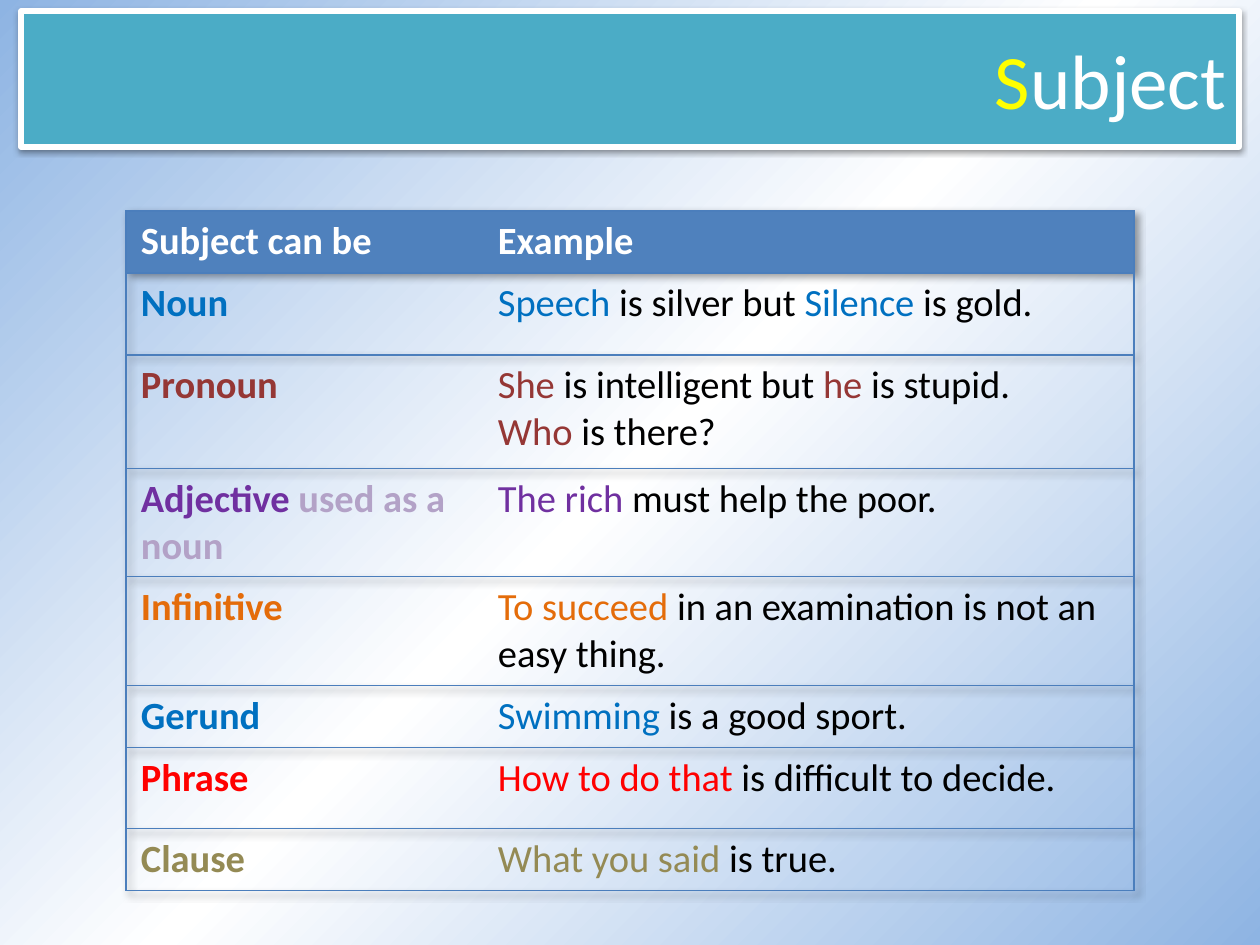
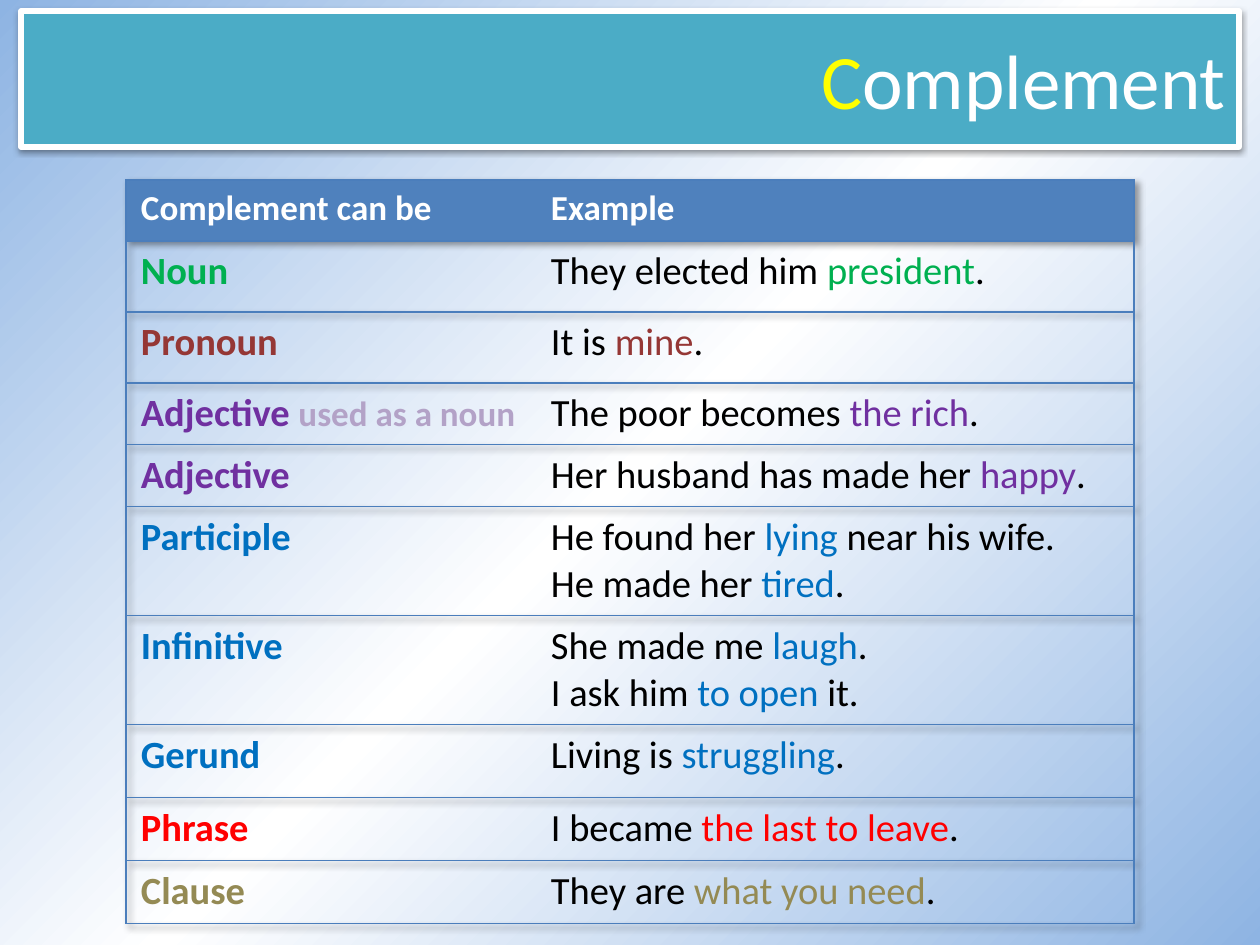
from copy import deepcopy
from dataclasses import dataclass
from pptx import Presentation
from pptx.dml.color import RGBColor
from pptx.enum.text import MSO_ANCHOR, PP_ALIGN
from pptx.oxml import parse_xml
from pptx.oxml.ns import nsdecls, qn
from pptx.util import Emu, Pt


@dataclass(frozen=True)
class Theme:
    """Colours, font and type sizes of the deck."""
    font: str = "Calibri"
    sky: str = "8EB4E3"
    white: str = "FFFFFF"
    black: str = "000000"
    yellow: str = "FFFF00"
    head: str = "4F81BD"
    rule: str = "4B7EBC"
    blue: str = "0070C0"
    green: str = "00B050"
    brown: str = "953735"
    purple: str = "7030A0"
    mauve: str = "B3A2C7"
    orange: str = "E46C0A"
    red: str = "FF0000"
    olive: str = "948A54"
    title: int = 44
    body: int = 22
    small: int = 20


T = Theme()
PLAIN = "{2D5ABB26-0587-4C30-8999-92F81FD0307C}"

SUBJECT = [
    (82, T.blue, "Noun", "|Speech |is silver but |Silence |is gold."),
    (114, T.brown, "Pronoun", "|She |is intelligent but |he |is stupid.\n|Who |is there?"),
    (108, T.purple, "Adjective |used as a noun", "|The rich |must help the poor."),
    (109, T.orange, "Infinitive", "|To succeed |in an examination is not an easy thing."),
    (62, T.blue, "Gerund", "|Swimming| is a good sport."),
    (81, T.red, "Phrase", "|How to do that |is difficult to decide."),
    (62, T.olive, "Clause", "|What you said |is true."),
]

COMPLEMENT = [
    (71, T.green, "Noun", "They elected him |president|."),
    (71, T.brown, "Pronoun", "It is |mine|."),
    (62, T.purple, "Adjective |used as a noun", "The poor becomes |the rich|."),
    (62, T.purple, "Adjective", "Her husband has made her |happy|."),
    (109, T.blue, "Participle", "He found her |lying| near his wife.\nHe made her |tired|."),
    (109, T.blue, "Infinitive", "She made me |laugh|.\nI ask him |to open |it."),
    (73, T.blue, "Gerund", "Living is |struggling|."),
    (63, T.red, "Phrase", "I became |the last to leave|."),
    (63, T.olive, "Clause", "They are |what you need|."),
]


def px(count):
    """Turn pixels into EMU."""
    return Emu(round(count * 914400 / 126))


def write(frame, text, tones, sizes, bold=False):
    """Write lines of runs; bars switch between plain and marked style."""
    for row, line in enumerate(text.split("\n")):
        para = frame.add_paragraph() if row else frame.paragraphs[0]
        for step, part in enumerate(line.split("|")):
            if part:
                run = para.add_run()
                run.text = part
                run.font.name = T.font
                run.font.bold = bold
                run.font.size = Pt(sizes[step % 2])
                run.font.color.rgb = RGBColor.from_string(tones[step % 2])


def paint(master):
    """Give every slide the diagonal sky gradient."""
    fill = master.background.fill
    fill.gradient()
    fill.gradient_angle = 315
    stops = master.element.find(".//" + qn("a:gsLst"))
    stops.insert(1, deepcopy(stops[0]))
    for spot, stop in enumerate(fill.gradient_stops):
        stop.position = spot / 2
        stop.color.rgb = RGBColor.from_string((T.sky, T.white, T.sky)[spot])


def add_style(shape):
    """Tie a shape to the theme's accent fill, white line and shadow."""
    refs = (("ln", 3, "lt1"), ("fill", 1, "accent5"),
            ("effect", 1, "accent5"), ("font", "minor", "lt1"))
    inner = "".join(f'<a:{kind}Ref idx="{rank}"><a:schemeClr val="{tone}"/></a:{kind}Ref>'
                    for kind, rank, tone in refs)
    shape.element.spPr.addnext(parse_xml(
        f'<p:style {nsdecls("p", "a")}>{inner}</p:style>'))


def add_title(slide, text):
    """Place the title at the top right with a yellow initial."""
    title = slide.shapes.title
    title.left, title.top, title.width, title.height = map(px, (21, 11, 1218, 136))
    add_style(title)
    title.text_frame.vertical_anchor = MSO_ANCHOR.MIDDLE
    write(title.text_frame, text, (T.white, T.yellow), (T.title, T.title))
    title.text_frame.paragraphs[0].alignment = PP_ALIGN.RIGHT


def rule_cell(cell, sides):
    """Draw thin rules on the given sides of a cell."""
    props = cell._tc.get_or_add_tcPr()
    for spot, side in enumerate(sides):
        props.insert(spot, parse_xml(
            f'<a:ln{side} {nsdecls("a")} w="9525"><a:solidFill>'
            f'<a:srgbClr val="{T.rule}"/></a:solidFill></a:ln{side}>'))


def add_shade(table):
    """Give the table a soft shadow and a plain style."""
    props = table._tbl.tblPr
    props.find(qn("a:tableStyleId")).text = PLAIN
    props.insert(0, parse_xml(
        f'<a:effectLst {nsdecls("a")}><a:outerShdw blurRad="50800" dist="38100" '
        f'dir="2700000" algn="tl" rotWithShape="0"><a:srgbClr val="{T.black}">'
        '<a:alpha val="40000"/></a:srgbClr></a:outerShdw></a:effectLst>'))


def fill_cell(cell, text, tones, sizes, bold, fill, sides):
    """Format one cell and write its text."""
    cell.margin_left = cell.margin_right = px(15)
    cell.margin_top = cell.margin_bottom = px(7)
    if fill:
        cell.fill.solid()
        cell.fill.fore_color.rgb = RGBColor.from_string(fill)
    else:
        cell.fill.background()
    rule_cell(cell, sides)
    write(cell.text_frame, text, tones, sizes, bold)


def add_grid(slide, top, split, head, rows, minor):
    """Add the table of word kinds and their examples."""
    tall, name = head
    high = tall + sum(row[0] for row in rows)
    table = slide.shapes.add_table(
        len(rows) + 1, 2, px(126), px(top), px(1008), px(high)).table
    table.horz_banding = False
    add_shade(table)
    for col, wide in zip(table.columns, (split, 1008 - split)):
        col.width = px(wide)
    edges = ("L", "T", "B"), ("R", "T", "B")
    table.rows[0].height = px(tall)
    for col, text in enumerate((name, "Example")):
        fill_cell(table.cell(0, col), text, (T.white, T.white),
                  (minor, minor), True, T.head, edges[col])
    for spot, (tall, tone, kind, sample) in enumerate(rows, 1):
        table.rows[spot].height = px(tall)
        fill_cell(table.cell(spot, 0), kind, (tone, T.mauve),
                  (T.body, minor), True, None, edges[0])
        fill_cell(table.cell(spot, 1), sample, (T.black, tone),
                  (T.body, T.body), False, None, edges[1])


def main():
    """Build both slides and save the deck."""
    deck = Presentation()
    deck.slide_width, deck.slide_height = px(1260), px(945)
    paint(deck.slide_master)
    pages = [
        ("|S|ubject", 211, 357, (62, "Subject can be"), SUBJECT, T.body),
        ("|C|omplement", 180, 410, (61, "Complement can be"), COMPLEMENT, T.small),
    ]
    for title, *grid in pages:
        slide = deck.slides.add_slide(deck.slide_layouts[5])
        add_title(slide, title)
        add_grid(slide, *grid)
    deck.save("out.pptx")


if __name__ == "__main__":
    main()
